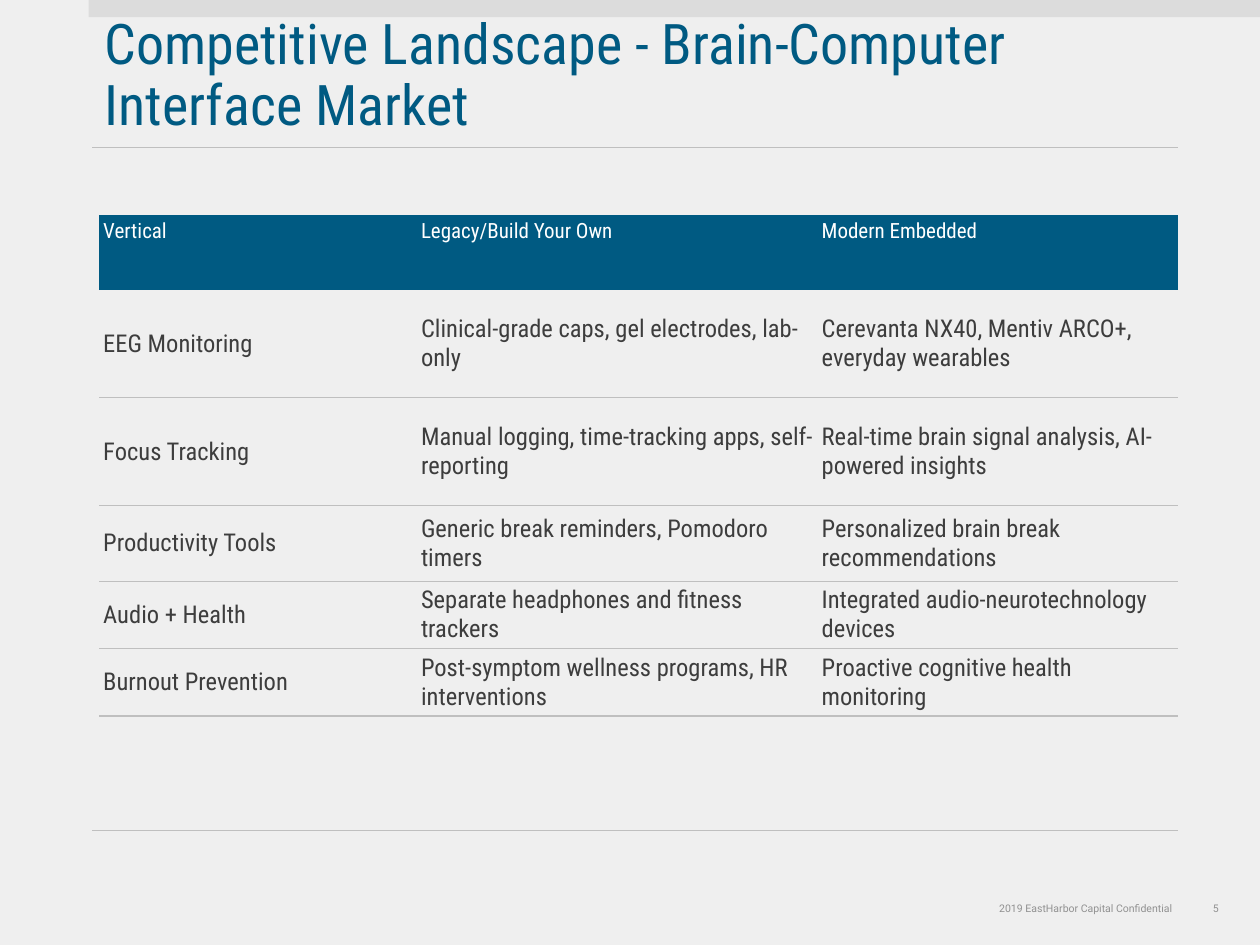
"""Build the competitive landscape slide with its comparison table."""
import pptx
import pptx.dml.color
import pptx.enum.shapes
import pptx.enum.text
import pptx.oxml
import pptx.oxml.ns
import pptx.util

Pt = pptx.util.Pt
ANCHOR = pptx.enum.text.MSO_ANCHOR
ALIGN = pptx.enum.text.PP_ALIGN

COLORS = {
    "background": "EFEFEF",
    "band": "DCDCDC",
    "rule": "BFBFBF",
    "accent": "005A82",
    "header": "FFFFFF",
    "body": "3D3D3D",
    "footer": "919191",
}
HEADING_FONT = "Roboto Condensed"
FOOTER_FONT = "Roboto"
NO_TABLE_STYLE = "{2D5ABB26-0587-4C30-8999-92F81FD0307C}"

TITLE = "Competitive Landscape - Brain-Computer Interface Market"
ROWS = [
    ("Vertical", "Legacy/Build Your Own", "Modern Embedded"),
    ("EEG Monitoring", "Clinical-grade caps, gel electrodes, lab-only",
     "Cerevanta NX40, Mentiv ARCO+, everyday wearables"),
    ("Focus Tracking", "Manual logging, time-tracking apps, self-reporting",
     "Real-time brain signal analysis, AI-powered insights"),
    ("Productivity Tools", "Generic break reminders, Pomodoro timers",
     "Personalized brain break recommendations"),
    ("Audio + Health", "Separate headphones and fitness trackers",
     "Integrated audio-neurotechnology devices"),
    ("Burnout Prevention", "Post-symptom wellness programs, HR interventions",
     "Proactive cognitive health monitoring"),
]
COLUMN_WIDTHS = [181.6, 229, 206]
ROW_HEIGHTS = [42.6, 61.7, 61.7, 43.3, 36, 36]
FOOTERS = [
    ("2019 EastHarbor Capital Confidential", 571, 100.8, ALIGN.LEFT),
    ("5", 691.2, 7.2, ALIGN.CENTER),
]
RULE_LEFT, RULE_RIGHT = 52.6, 673.2
RULE_TOPS = [84.2, 474.5]


def rgb(name):
    return pptx.dml.color.RGBColor.from_string(COLORS[name])


def format_text(text_frame, font_name, size, color):
    for paragraph in text_frame.paragraphs:
        for run in paragraph.runs:
            run.font.name = font_name
            run.font.size = Pt(size)
            run.font.bold = False
            run.font.color.rgb = rgb(color)


def set_margins(target, horizontal, vertical):
    target.margin_left = target.margin_right = Pt(horizontal)
    target.margin_top = target.margin_bottom = Pt(vertical)


def add_band(slide):
    band = slide.shapes.add_shape(
        pptx.enum.shapes.MSO_SHAPE.RECTANGLE, Pt(50.7), Pt(0), Pt(669.3), Pt(9.8))
    band.shadow.inherit = False
    band.fill.solid()
    band.fill.fore_color.rgb = rgb("band")
    band.line.fill.background()


def add_rule(slide, top):
    rule = slide.shapes.add_connector(
        pptx.enum.shapes.MSO_CONNECTOR.STRAIGHT,
        Pt(RULE_LEFT), Pt(top), Pt(RULE_RIGHT), Pt(top))
    rule.line.color.rgb = rgb("rule")
    rule.line.width = Pt(0.5)
    properties = rule.element.find(pptx.oxml.ns.qn("p:spPr"))
    properties.append(pptx.oxml.parse_xml(
        f'<a:effectLst {pptx.oxml.ns.nsdecls("a")}/>'))


def add_footer(slide, text, left, width, alignment):
    footer = slide.shapes.add_textbox(Pt(left), Pt(515.5), Pt(width), Pt(7.2))
    text_frame = footer.text_frame
    text_frame.text = text
    text_frame.word_wrap = False
    text_frame.auto_size = pptx.enum.text.MSO_AUTO_SIZE.SHAPE_TO_FIT_TEXT
    set_margins(text_frame, 0, 0)
    text_frame.paragraphs[0].alignment = alignment
    format_text(text_frame, FOOTER_FONT, 6, "footer")


def add_title(slide):
    title = slide.shapes.title
    title.left, title.top = Pt(RULE_LEFT), Pt(42.5)
    title.width, title.height = Pt(RULE_RIGHT - RULE_LEFT), Pt(39.6)
    text_frame = title.text_frame
    text_frame.text = TITLE
    text_frame.word_wrap = True
    text_frame.auto_size = pptx.enum.text.MSO_AUTO_SIZE.NONE
    text_frame.vertical_anchor = ANCHOR.BOTTOM
    set_margins(text_frame, 7.2, 3.6)
    text_frame.paragraphs[0].alignment = ALIGN.LEFT
    text_frame.paragraphs[0].line_spacing = 0.9
    format_text(text_frame, HEADING_FONT, 32, "accent")


def add_bottom_border(cell):
    cell._tc.get_or_add_tcPr().insert(0, pptx.oxml.parse_xml(
        f'<a:lnB {pptx.oxml.ns.nsdecls("a")} w="{Pt(1)}"><a:solidFill>'
        f'<a:srgbClr val="{COLORS["rule"]}"/></a:solidFill></a:lnB>'))


def fill_cell(cell, text, is_header):
    cell.text_frame.text = text
    set_margins(cell, 2.4, 2.4)
    if is_header:
        cell.vertical_anchor = ANCHOR.TOP
        cell.fill.solid()
        cell.fill.fore_color.rgb = rgb("accent")
        format_text(cell.text_frame, HEADING_FONT, 12, "header")
    else:
        cell.vertical_anchor = ANCHOR.MIDDLE
        cell.fill.background()
        add_bottom_border(cell)
        format_text(cell.text_frame, HEADING_FONT, 14, "body")


def add_comparison(slide):
    frame = slide.shapes.add_table(
        len(ROWS), len(COLUMN_WIDTHS), Pt(56.6), Pt(123),
        Pt(sum(COLUMN_WIDTHS)), Pt(sum(ROW_HEIGHTS)))
    table = frame.table
    table.horz_banding = False
    for style in frame.element.iter(pptx.oxml.ns.qn("a:tableStyleId")):
        style.text = NO_TABLE_STYLE
    for column, width in zip(table.columns, COLUMN_WIDTHS):
        column.width = Pt(width)
    for index, (row, height) in enumerate(zip(table.rows, ROW_HEIGHTS)):
        row.height = Pt(height)
        for cell, text in zip(row.cells, ROWS[index]):
            fill_cell(cell, text, index == 0)


def main():
    presentation = pptx.Presentation()
    presentation.slide_width, presentation.slide_height = Pt(720), Pt(540)
    slide = presentation.slides.add_slide(
        presentation.slide_layouts.get_by_name("Title Only"))
    slide.background.fill.solid()
    slide.background.fill.fore_color.rgb = rgb("background")
    add_band(slide)
    for footer in FOOTERS:
        add_footer(slide, *footer)
    for top in RULE_TOPS:
        add_rule(slide, top)
    add_title(slide)
    add_comparison(slide)
    presentation.save("out.pptx")


if __name__ == "__main__":
    main()
